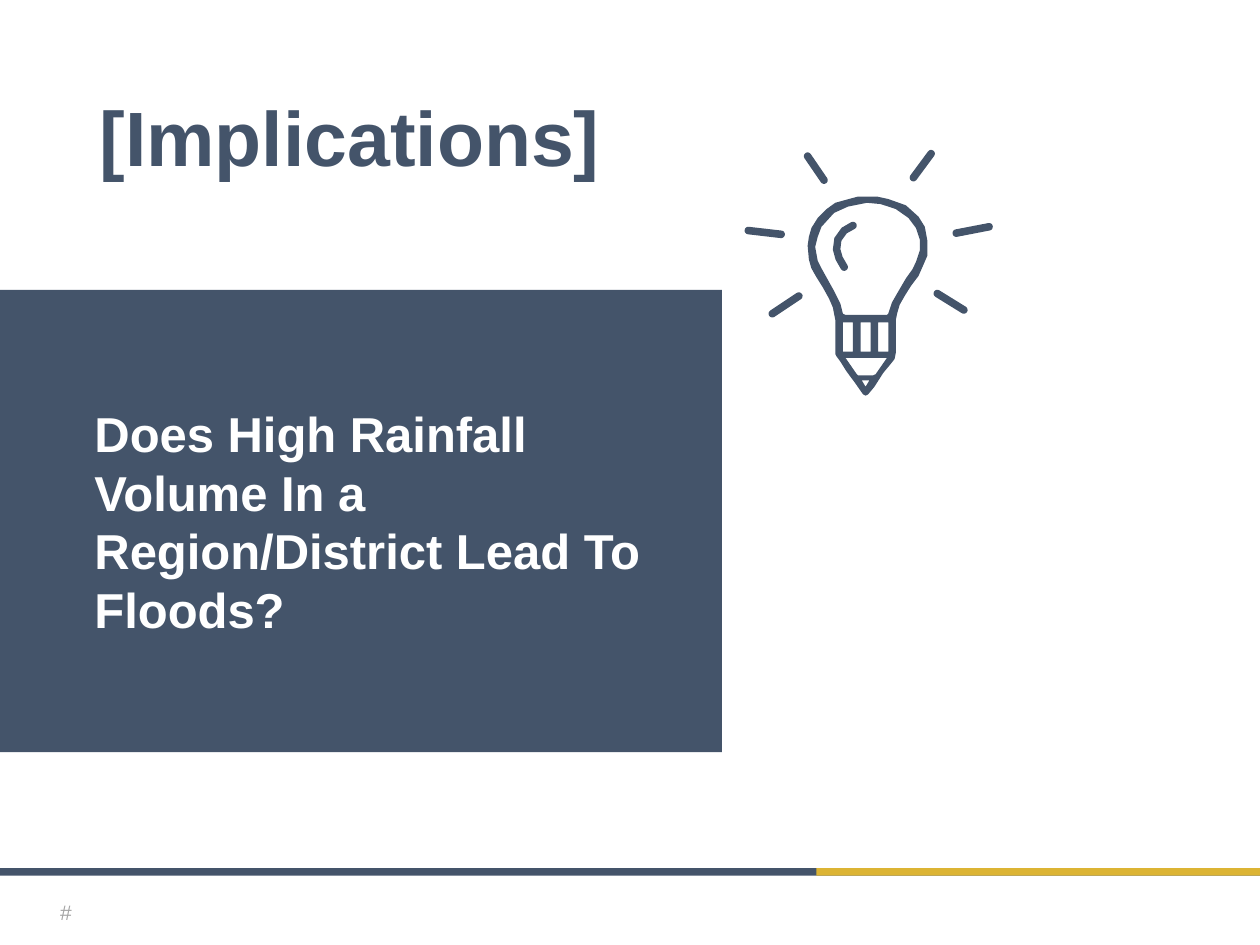
import math

import pptx
import pptx.dml.color
import pptx.enum.shapes
import pptx.enum.text
import pptx.util

Inches = pptx.util.Inches
NAVY = pptx.dml.color.RGBColor(0x44, 0x54, 0x6A)
GOLD = pptx.dml.color.RGBColor(0xDC, 0xB4, 0x34)
GRAY = pptx.dml.color.RGBColor(0xA5, 0xA5, 0xA5)
WHITE = pptx.dml.color.RGBColor(0xFF, 0xFF, 0xFF)
FONT = "Arial"
ALIGN = pptx.enum.text.PP_ALIGN

GLASS_AND_BASE = [
    (0.22, 1.11), (0.22, 0.98), (0.2, 0.88), (0.17, 0.81), (0.12, 0.72), (0.07, 0.64),
    (0.03, 0.57), (0.01, 0.5), (0, 0.39), (0.01, 0.32), (0.03, 0.25), (0.08, 0.17),
    (0.15, 0.1), (0.22, 0.05), (0.29, 0.03), (0.4, 0), (0.55, 0), (0.64, 0.02),
    (0.78, 0.07), (0.88, 0.16), (0.93, 0.24), (0.95, 0.35), (0.95, 0.47), (0.92, 0.54),
    (0.88, 0.63), (0.82, 0.71), (0.77, 0.79), (0.73, 0.86), (0.71, 0.93), (0.7, 0.98),
    (0.7, 1.24), (0.69, 1.29), (0.65, 1.34), (0.6, 1.4), (0.53, 1.51), (0.48, 1.57),
    (0.46, 1.58), (0.44, 1.57), (0.37, 1.47), (0.31, 1.39), (0.26, 1.31), (0.23, 1.27),
    (0.22, 1.25),
]
GLASS_OPENING = [
    (0.63, 0.94), (0.64, 0.93), (0.67, 0.84), (0.71, 0.77), (0.78, 0.65), (0.83, 0.58),
    (0.86, 0.52), (0.89, 0.43), (0.89, 0.34), (0.86, 0.25), (0.8, 0.17), (0.7, 0.1),
    (0.58, 0.06), (0.47, 0.05), (0.32, 0.08), (0.21, 0.13), (0.11, 0.24), (0.08, 0.32),
    (0.06, 0.4), (0.08, 0.51), (0.11, 0.57), (0.16, 0.66), (0.21, 0.75), (0.26, 0.85),
    (0.28, 0.93), (0.3, 0.94),
]
BASE_OPENINGS = [
    [(left, 1), (left + 0.08, 1), (left + 0.08, 1.23), (left, 1.23)]
    for left in (0.28, 0.42, 0.56)
]
PENCIL_OPENING = [(0.3, 1.28), (0.63, 1.28), (0.54, 1.41), (0.52, 1.42), (0.4, 1.42), (0.39, 1.41)]
TIP_OPENING = [(0.43, 1.46), (0.49, 1.46), (0.46, 1.51)]
RAYS = [
    [(0.43, 1.16), (0.22, 1.3)],
    [(1.48, 0.03), (1.34, 0.22)],
    [(0.5, 0.05), (0.63, 0.24)],
    [(1.53, 1.14), (1.74, 1.27)],
    [(1.68, 0.66), (1.94, 0.61)],
    [(0.03, 0.64), (0.29, 0.67)],
]
GLINT = [(0.86, 0.6), (0.79, 0.64), (0.74, 0.71), (0.73, 0.79), (0.75, 0.86), (0.79, 0.93)]


def paint(shape, color):
    shape.shadow.inherit = False
    shape.fill.solid()
    shape.fill.fore_color.rgb = color
    shape.line.fill.background()


def add_bar(slide, left, top, width, height, color):
    bar = slide.shapes.add_shape(
        pptx.enum.shapes.MSO_SHAPE.RECTANGLE,
        Inches(left), Inches(top), Inches(width), Inches(height))
    paint(bar, color)
    return bar


def write_text(shape, text, size, color, alignment, bold=False, left_inset=0.1, right_inset=0.1):
    frame = shape.text_frame
    frame.word_wrap = True
    frame.vertical_anchor = pptx.enum.text.MSO_ANCHOR.MIDDLE
    frame.margin_left, frame.margin_right = Inches(left_inset), Inches(right_inset)
    frame.margin_top = frame.margin_bottom = Inches(0.05)
    paragraph = frame.paragraphs[0]
    paragraph.alignment = alignment
    run = paragraph.add_run()
    run.text = text
    run.font.name = FONT
    run.font.size = pptx.util.Pt(size)
    run.font.bold = bold
    run.font.color.rgb = color
    return paragraph


def add_outline(group, left, top, contours):
    placed = [[(Inches(left + x), Inches(top + y)) for x, y in contour] for contour in contours]
    builder = group.shapes.build_freeform(*placed[0][0])
    builder.add_line_segments(placed[0][1:], close=True)
    for contour in placed[1:]:
        builder.move_to(*contour[0])
        builder.add_line_segments(contour[1:], close=True)
    paint(builder.convert_to_shape(), NAVY)


def rounded_stroke(points, width):
    radius = width / 2
    angles = []
    for index in range(len(points)):
        before = points[max(index - 1, 0)]
        after = points[min(index + 1, len(points) - 1)]
        angles.append(math.atan2(after[1] - before[1], after[0] - before[0]))

    def around(point, angle):
        return point[0] + radius * math.cos(angle), point[1] + radius * math.sin(angle)

    steps = [math.pi * step / 8 for step in range(1, 8)]
    quarter = math.pi / 2
    outline = [around(point, angle - quarter) for point, angle in zip(points, angles)]
    outline += [around(points[-1], angles[-1] - quarter + step) for step in steps]
    outline += [around(point, angle + quarter) for point, angle in zip(points[::-1], angles[::-1])]
    outline += [around(points[0], angles[0] + quarter + step) for step in steps]
    return outline


def add_title(slide, left, top, width, height):
    title = slide.shapes.title
    title.left, title.top = Inches(left), Inches(top)
    title.width, title.height = Inches(width), Inches(height)
    paragraph = write_text(title, "[Implications]", 44, NAVY, ALIGN.LEFT, bold=True)
    paragraph.line_spacing = 0.9


def add_footer(slide, left, top, width, height):
    add_bar(slide, left, top, width, height, NAVY)
    gold_left = 6.48
    add_bar(slide, left + gold_left, top, width - gold_left, height, GOLD)
    number = slide.shapes.add_textbox(
        Inches(left + 0.22), Inches(top + 0.15), Inches(0.4), Inches(0.4))
    write_text(number, "#", 12, GRAY, ALIGN.RIGHT, right_inset=0.05)


def add_light_bulb(slide, left, top):
    group = slide.shapes.add_group_shape()
    add_outline(group, left + 0.5, top + 0.37,
                [GLASS_AND_BASE, GLASS_OPENING, PENCIL_OPENING, *BASE_OPENINGS, TIP_OPENING])
    for ray in RAYS:
        add_outline(group, left, top, [rounded_stroke(ray, 0.06)])
    add_outline(group, left, top, [rounded_stroke(GLINT, 0.06)])


def add_question(slide, left, top, width, height):
    panel = add_bar(slide, left, top, width, height, NAVY)
    write_text(panel, "Does High Rainfall Volume In a Region/District Lead To Floods?",
               28, WHITE, ALIGN.LEFT, bold=True, left_inset=0.75, right_inset=0.28)


def main():
    presentation = pptx.Presentation()
    presentation.slide_width, presentation.slide_height = Inches(10), Inches(7.5)
    slide = presentation.slides.add_slide(presentation.slide_layouts[5])
    add_footer(slide, 0, 6.89, 10, 0.06)
    add_title(slide, 0.69, 0.4, 8.62, 1.45)
    add_light_bulb(slide, 5.91, 1.19)
    add_question(slide, 0, 2.3, 5.73, 3.67)
    presentation.save("out.pptx")


if __name__ == "__main__":
    main()
